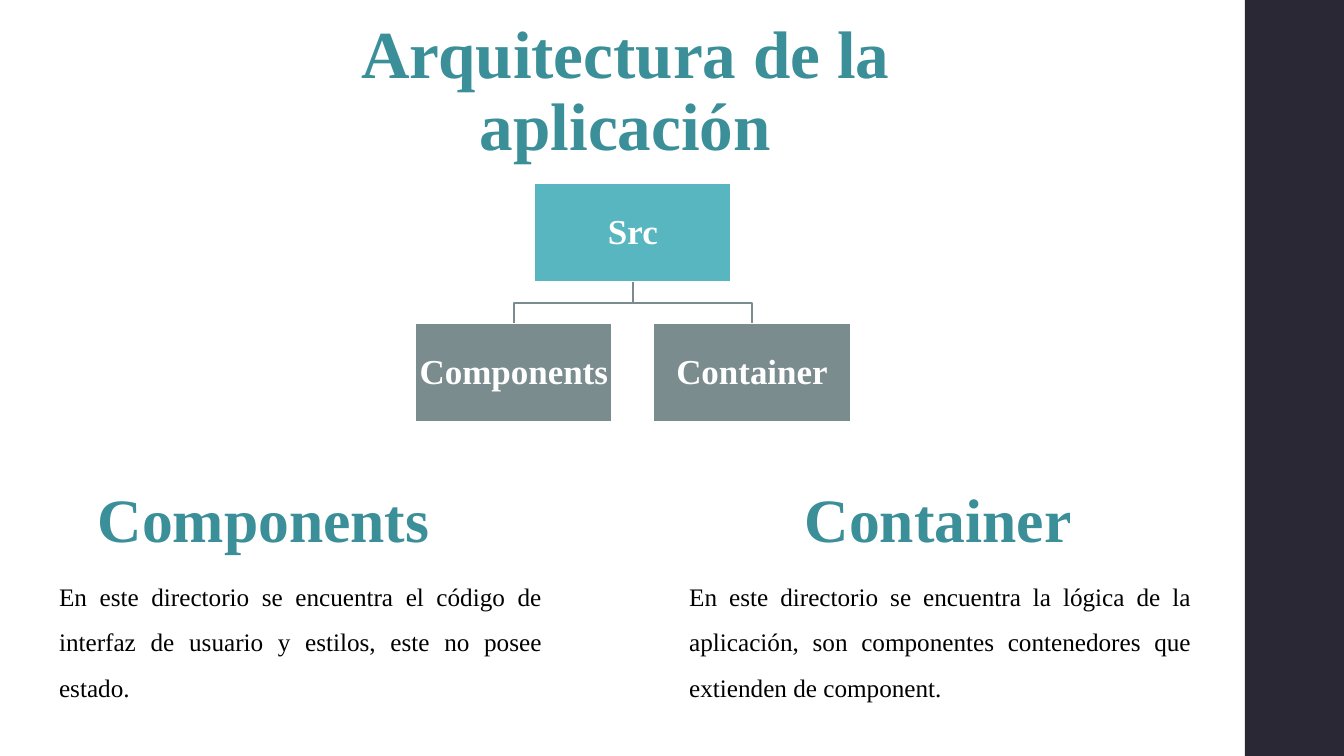
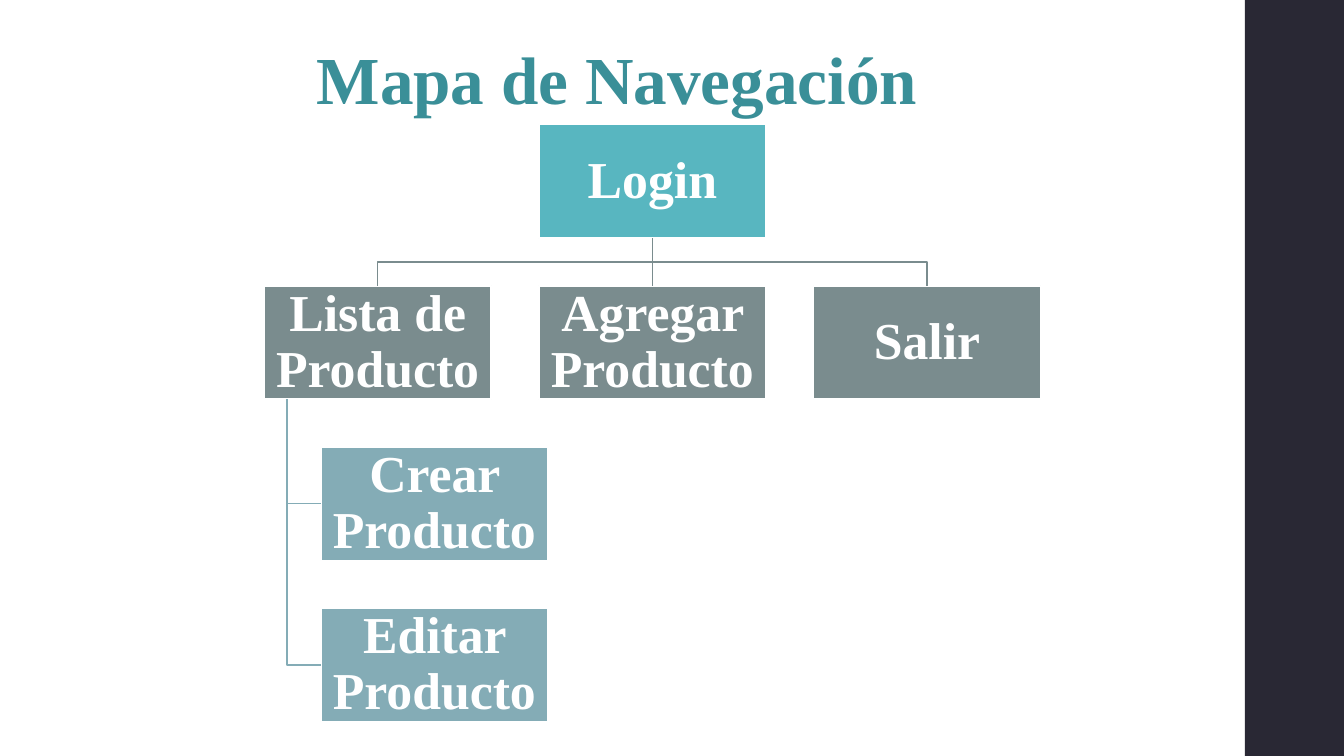
"""Build two slides: an application architecture and a navigation map."""
import pptx
import pptx.dml.color
import pptx.enum.shapes
import pptx.enum.text
import pptx.oxml.ns
import pptx.util
from lxml import etree

Cm = pptx.util.Cm
Pt = pptx.util.Pt
RGBColor = pptx.dml.color.RGBColor
ALIGN = pptx.enum.text.PP_ALIGN
ANCHOR = pptx.enum.text.MSO_ANCHOR
FIT = pptx.enum.text.MSO_AUTO_SIZE
RECTANGLE = pptx.enum.shapes.MSO_SHAPE.RECTANGLE
STRAIGHT = pptx.enum.shapes.MSO_CONNECTOR.STRAIGHT

WHITE = RGBColor(0xFF, 0xFF, 0xFF)
BLACK = RGBColor(0x00, 0x00, 0x00)
NIGHT = RGBColor(0x29, 0x28, 0x34)
TEAL = RGBColor(0x3A, 0x8F, 0x98)
TURQUOISE = RGBColor(0x58, 0xB6, 0xC0)
SLATE = RGBColor(0x7A, 0x8C, 0x8E)
MIST = RGBColor(0x84, 0xAC, 0xB6)

WIDTH, HEIGHT = 33.87, 19.05
BAND_WIDTH = 2.5
FONT = "Times New Roman"
LINE_WIDTH = Pt(1.1)

TITLE = {
    "font": {"name": FONT, "size": Pt(48), "bold": True},
    "para": {"alignment": ALIGN.CENTER, "line_spacing": 0.9},
    "frame": {"word_wrap": True, "vertical_anchor": ANCHOR.BOTTOM},
    "color": TEAL,
}
HEADING = {
    "font": {"name": FONT, "size": Pt(44), "bold": True},
    "para": {"alignment": ALIGN.LEFT, "line_spacing": 0.9},
    "frame": {"word_wrap": False, "auto_size": FIT.SHAPE_TO_FIT_TEXT},
    "color": TEAL,
}
BODY = {
    "font": {"name": FONT, "size": Pt(18), "bold": False},
    "para": {"alignment": ALIGN.JUSTIFY, "line_spacing": 1.5},
    "frame": {"word_wrap": True, "auto_size": FIT.SHAPE_TO_FIT_TEXT},
    "color": BLACK,
}


def assign(target, values):
    """Set each named attribute of the target."""
    for name, value in values.items():
        setattr(target, name, value)


def write(shape, text, style):
    """Put one styled paragraph in a shape."""
    frame = shape.text_frame
    assign(frame, style["frame"])
    para = frame.paragraphs[0]
    assign(para, style["para"])
    span = para.add_run()
    span.text = text
    assign(span.font, style["font"])
    span.font.color.rgb = style["color"]


def add_text(page, text, style, left, top, width, height):
    """Add a text box measured in centimetres."""
    box = page.shapes.add_textbox(Cm(left), Cm(top), Cm(width), Cm(height))
    write(box, text, style)


def add_rectangle(page, left, top, width, height, color):
    """Add a plain filled rectangle."""
    box = page.shapes.add_shape(RECTANGLE, Cm(left), Cm(top), Cm(width), Cm(height))
    box.shadow.inherit = False
    box.fill.solid()
    box.fill.fore_color.rgb = color
    box.line.fill.background()
    return box


def add_node(page, text, left, top, width, size, color):
    """Add a labelled tree node that is half as high as wide."""
    box = add_rectangle(page, left, top, width, width / 2, color)
    assign(box.line, {"width": LINE_WIDTH})
    box.line.color.rgb = WHITE
    margin = Cm(width * 0.012)
    sides = ("left", "right", "top", "bottom")
    frame = {f"margin_{side}": margin for side in sides}
    frame.update(word_wrap=True, vertical_anchor=ANCHOR.MIDDLE)
    write(box, text, {
        "font": {"name": FONT, "size": Pt(size), "bold": True},
        "para": {"alignment": ALIGN.CENTER, "line_spacing": 0.9},
        "frame": frame,
        "color": WHITE,
    })
    return box


def add_elbow(page, points, color):
    """Add an open bent line through the points."""
    builder = page.shapes.build_freeform(*points[0])
    builder.add_line_segments(points[1:], close=False)
    elbow = builder.convert_to_shape()
    elbow.shadow.inherit = False
    elbow.fill.background()
    elbow.line.color.rgb = color
    elbow.line.width = LINE_WIDTH


def add_drop(page, parent, child, color):
    """Join a parent to the box straight below it."""
    line = page.shapes.add_connector(STRAIGHT, 0, 0, 0, 0)
    line.begin_connect(parent, 2)
    line.end_connect(child, 0)
    line.line.color.rgb = color
    line.line.width = LINE_WIDTH
    etree.SubElement(line._element.spPr, pptx.oxml.ns.qn("a:effectLst"))


def middle(box):
    """Return the horizontal middle of a box."""
    return box.left + box.width // 2


def link_row(page, parent, children):
    """Join a parent to the row of boxes below it."""
    bottom = parent.top + parent.height
    center = middle(parent)
    for child in children:
        end = middle(child)
        if abs(end - center) < Cm(0.01):
            add_drop(page, parent, child, SLATE)
            continue
        level = (bottom + child.top) // 2
        points = [(center, bottom), (center, level), (end, level), (end, child.top)]
        add_elbow(page, points, SLATE)


def link_stack(page, parent, children):
    """Join a parent to the boxes stacked below it."""
    spine = parent.left + parent.width // 10
    bottom = parent.top + parent.height
    for child in children:
        level = child.top + child.height // 2
        add_elbow(page, [(spine, bottom), (spine, level), (child.left, level)], MIST)


def add_tree(page, root, branches, center, top, width, size):
    """Add a root, its row of branches and the leaves under each branch."""
    column, row = width * 1.21, width * 0.71
    parent = add_node(page, root, center - width / 2, top, width, size, TURQUOISE)
    first = center - width / 2 - column * (len(branches) - 1) / 2
    boxes = []
    for index, (label, leaves) in enumerate(branches):
        left = first + index * column
        box = add_node(page, label, left, top + row, width, size, SLATE)
        boxes.append(box)
        stack = [
            add_node(page, leaf, left + width / 4, top + row * depth, width, size, MIST)
            for depth, leaf in enumerate(leaves, 2)
        ]
        link_stack(page, box, stack)
    link_row(page, parent, boxes)


def add_page(deck, title, title_top):
    """Add a blank slide with the side band and a title."""
    page = deck.slides.add_slide(deck.slide_layouts[6])
    add_rectangle(page, WIDTH - BAND_WIDTH, 0, BAND_WIDTH, HEIGHT, NIGHT)
    add_text(page, title, TITLE, 5.53, title_top, 20.47, 2.29)
    return page


def add_architecture(deck):
    """Add the application architecture slide."""
    page = add_page(deck, "Arquitectura de la aplicación", 2)
    add_tree(page, "Src", [("Components", []), ("Container", [])],
             center=15.95, top=4.63, width=4.96, size=25)
    sections = [
        ("Components", 2.21, 8.97, 1.24, 12.67,
         "En este directorio se encuentra el código de interfaz de usuario y "
         "estilos, este no posee estado."),
        ("Container", 20.03, 7.32, 17.12, 13.15,
         "En este directorio se encuentra la lógica de la aplicación, son "
         "componentes contenedores que extienden de component."),
    ]
    for heading, heading_left, heading_width, left, width, text in sections:
        add_text(page, heading, HEADING, heading_left, 12.21, heading_width, 1.96)
        add_text(page, text, BODY, left, 14.14, width, 3.58)


def add_navigation(deck):
    """Add the navigation map slide."""
    page = add_page(deck, "Mapa de Navegación ", 0.84)
    branches = [
        ("Lista de Producto", ["Crear Producto", "Editar Producto"]),
        ("Agregar Producto", []),
        ("Salir", []),
    ]
    add_tree(page, "Login", branches, center=16.44, top=3.14, width=5.72, size=37)


def main():
    """Build and save the deck."""
    deck = pptx.Presentation()
    assign(deck, {"slide_width": Cm(WIDTH), "slide_height": Cm(HEIGHT)})
    add_architecture(deck)
    add_navigation(deck)
    deck.save("out.pptx")


if __name__ == "__main__":
    main()
